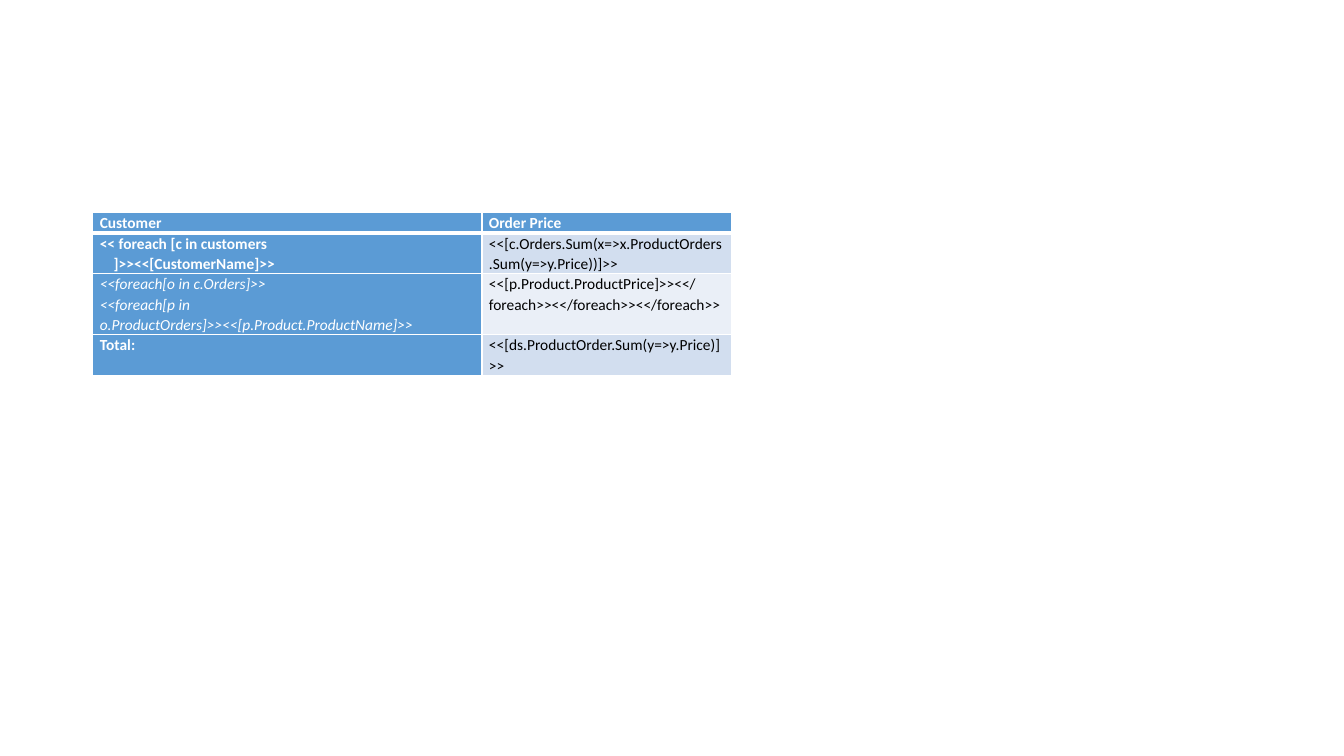
import pptx
import pptx.dml.color
import pptx.oxml
import pptx.oxml.ns
import pptx.util

RGBColor = pptx.dml.color.RGBColor
Inches = pptx.util.Inches
Pt = pptx.util.Pt

WHITE = RGBColor(0xFF, 0xFF, 0xFF)
BLACK = RGBColor(0x00, 0x00, 0x00)
BLUE = RGBColor(0x5B, 0x9B, 0xD5)
DARK_BAND = RGBColor(0xD2, 0xDE, 0xEF)
LIGHT_BAND = RGBColor(0xEA, 0xEF, 0xF7)

HEADER = (BLUE, WHITE, True, False)
DETAIL = (BLUE, WHITE, False, True)
DARK = (DARK_BAND, BLACK, False, False)
LIGHT = (LIGHT_BAND, BLACK, False, False)

ROWS = [
    (1, [("Customer", HEADER), ("Order Price", HEADER)]),
    (2, [("<< foreach [c in customers\n    ]>><<[CustomerName]>>", HEADER),
         ("<<[c.Orders.Sum(x=>x.ProductOrders.Sum(y=>y.Price))]>>", DARK)]),
    (3, [("<<foreach[o in c.Orders]>>\n"
          "<<foreach[p in o.ProductOrders]>><<[p.Product.ProductName]>>", DETAIL),
         ("<<[p.Product.ProductPrice]>><</foreach>><</foreach>><</foreach>>", LIGHT)]),
    (2, [("Total:", HEADER), ("<<[ds.ProductOrder.Sum(y=>y.Price)]>>", DARK)]),
]
COLUMN_WIDTHS = (3.86, 2.48)
LINE_HEIGHT = 0.2
LEFT, TOP = 0.92, 2.11


def add_border(cell, side, width):
    cell.fill.background()
    border = pptx.oxml.parse_xml(
        f'<a:ln{side} {pptx.oxml.ns.nsdecls("a")} w="{Pt(width)}">'
        f'<a:solidFill><a:srgbClr val="{WHITE}"/></a:solidFill></a:ln{side}>')
    properties = cell._tc.get_or_add_tcPr()
    properties.insert(len(properties) - 1, border)


def format_cell(cell, text, style, top_width, bottom_width):
    fill, color, bold, italic = style
    cell.margin_left = cell.margin_right = Inches(0.07)
    cell.margin_top = cell.margin_bottom = 0
    for side, width in (("L", 1), ("R", 1), ("T", top_width), ("B", bottom_width)):
        add_border(cell, side, width)
    cell.fill.solid()
    cell.fill.fore_color.rgb = fill
    cell.text = text
    for paragraph in cell.text_frame.paragraphs:
        paragraph.line_spacing = 1.07
        paragraph.font.name = "Calibri"
        paragraph.font.size = Pt(11)
        paragraph.font.bold = bold
        paragraph.font.italic = italic
        paragraph.font.color.rgb = color


def main():
    """Build the slide with the customer order price template table."""
    presentation = pptx.Presentation()
    presentation.slide_width = Inches(13.33)
    presentation.slide_height = Inches(7.5)
    slide = presentation.slides.add_slide(presentation.slide_layouts[6])

    height = LINE_HEIGHT * sum(lines for lines, cells in ROWS)
    table = slide.shapes.add_table(
        len(ROWS), len(COLUMN_WIDTHS), Inches(LEFT), Inches(TOP),
        Inches(sum(COLUMN_WIDTHS)), Inches(height)).table
    for column, width in zip(table.columns, COLUMN_WIDTHS):
        column.width = Inches(width)
    for row_index, (lines, cells) in enumerate(ROWS):
        table.rows[row_index].height = Inches(LINE_HEIGHT * lines)
        top_width = 3 if row_index == 1 else 1
        bottom_width = 3 if row_index == 0 else 1
        for column_index, (text, style) in enumerate(cells):
            format_cell(table.cell(row_index, column_index), text, style,
                        top_width, bottom_width)

    presentation.save("out.pptx")


if __name__ == "__main__":
    main()
